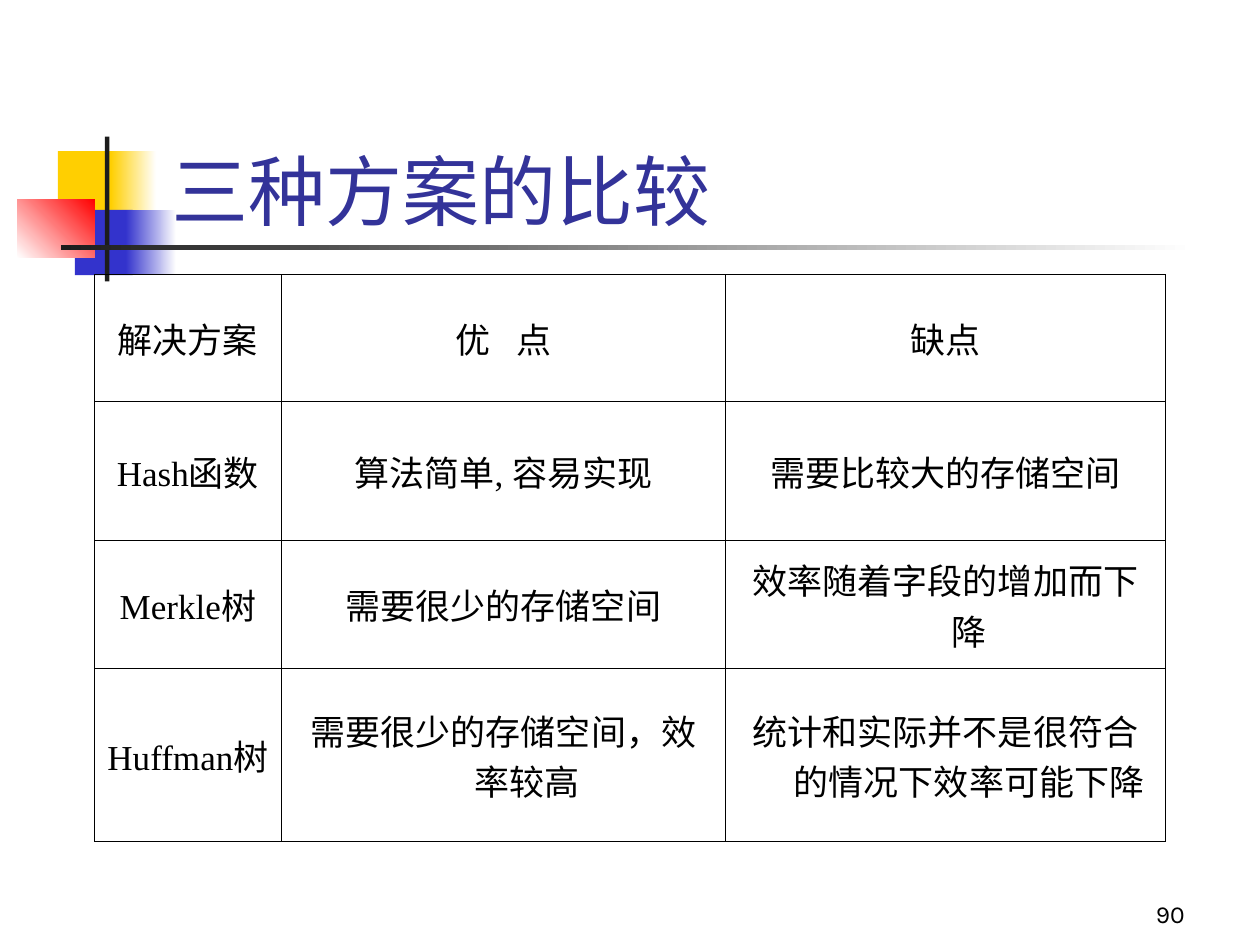
from lxml.etree import SubElement
from pptx import Presentation
from pptx.dml.color import RGBColor
from pptx.enum.shapes import MSO_SHAPE
from pptx.enum.text import MSO_ANCHOR, PP_ALIGN
from pptx.oxml import parse_xml
from pptx.oxml.ns import nsdecls
from pptx.util import Pt


def rgb(color):
    return RGBColor.from_string(color)


def add_run(p, text, size, font, color):
    r = p.add_run()
    r.text = text
    r.font.size = Pt(size)
    r.font.name = font
    r.font.color.rgb = rgb(color)
    return r


prs = Presentation()
prs.slide_width, prs.slide_height = Pt(720), Pt(540)
s = prs.slides.add_slide(prs.slide_layouts[5])

decorations = [
    (33.1, 86.4, 34.6, 37.4, ["FFCF01"], 0),
    (63.4, 86.4, 25.9, 37.4, ["FFCF01", "FFFFFF"], 0),
    (42.8, 119.9, 33, 37.4, ["3333CC"], 0),
    (72, 119.9, 28.8, 37.4, ["3333CC", "FFFFFF"], 0),
    (9.9, 113.8, 44.4, 33.4, ["FFFFFF", "FF0000"], 45),
    (60, 78, 2.5, 82.8, ["1C1C1C"], 0),
    (34.8, 140.2, 648, 2.5, ["1C1C1C", "FFFFFF"], 0),
]
for x, y, w, h, colors, angle in decorations:
    sp = s.shapes.add_shape(MSO_SHAPE.RECTANGLE, Pt(x), Pt(y), Pt(w), Pt(h))
    sp.shadow.inherit = False
    sp.line.fill.background()
    if len(colors) == 1:
        sp.fill.solid()
        sp.fill.fore_color.rgb = rgb(colors[0])
    else:
        sp.fill.gradient()
        sp.fill.gradient_angle = angle
        for stop, color in zip(sp.fill.gradient_stops, colors):
            stop.color.rgb = rgb(color)

tb = s.shapes.add_textbox(Pt(534.2), Pt(498.2), Pt(149.8), Pt(36))
tf = tb.text_frame
tf.word_wrap = True
tf.vertical_anchor = MSO_ANCHOR.BOTTOM
p = tf.paragraphs[0]
p.alignment = PP_ALIGN.RIGHT
add_run(p, "90", 14, "Karla", "000000")

title = s.shapes.title
title.left, title.top, title.width, title.height = Pt(90.7), Pt(48.2), Pt(613.4), Pt(90)
tf = title.text_frame
tf.vertical_anchor = MSO_ANCHOR.BOTTOM
p = tf.paragraphs[0]
p.alignment = PP_ALIGN.LEFT
add_run(p, "三种方案的比较", 44, "Karla", "333399")

rows = [
    ["解决方案", "优 点", "缺点"],
    ["Hash函数", "算法简单, 容易实现", "需要比较大的存储空间"],
    ["Merkle树", "需要很少的存储空间", "效率随着字段的增加而下降"],
    ["Huffman树", "需要很少的存储空间，效率较高", "统计和实际并不是很符合的情况下效率可能下降"],
]
col_widths = [106.8, 253.8, 251.4]
row_heights = [72.6, 79.4, 73.2, 98.8]
table = s.shapes.add_table(len(rows), len(col_widths), Pt(54), Pt(156.9),
                           Pt(sum(col_widths)), Pt(sum(row_heights))).table
table.first_row = False
table.horz_banding = False
for col, width in zip(table.columns, col_widths):
    col.width = Pt(width)
for row, height, texts in zip(table.rows, row_heights, rows):
    row.height = Pt(height)
    for cell, text in zip(row.cells, texts):
        cell.vertical_anchor = MSO_ANCHOR.MIDDLE
        cell.margin_left = cell.margin_right = Pt(7.2)
        cell.margin_top = cell.margin_bottom = Pt(3.6)
        tcPr = cell._tc.get_or_add_tcPr()
        for side in ("lnL", "lnR", "lnT", "lnB"):
            ln = parse_xml(f'<a:{side} {nsdecls("a")} w="{Pt(0.45)}"/>')
            fill = SubElement(ln, "{%s}solidFill" % ln.nsmap["a"])
            SubElement(fill, "{%s}srgbClr" % ln.nsmap["a"], val="000000")
            tcPr.append(ln)
        cell.fill.background()
        p = cell.text_frame.paragraphs[0]
        p.alignment = PP_ALIGN.CENTER
        pPr = p._p.get_or_add_pPr()
        pPr.set("marL", str(Pt(27)))
        pPr.set("indent", str(-Pt(27)))
        if text == "优 点":
            for char in text:
                r = add_run(p, char, 20, "Times New Roman", "000000")
                if char == " ":
                    r.font._element.set("spc", "1000")
        else:
            add_run(p, text, 20, "Times New Roman", "000000")

prs.save("out.pptx")
